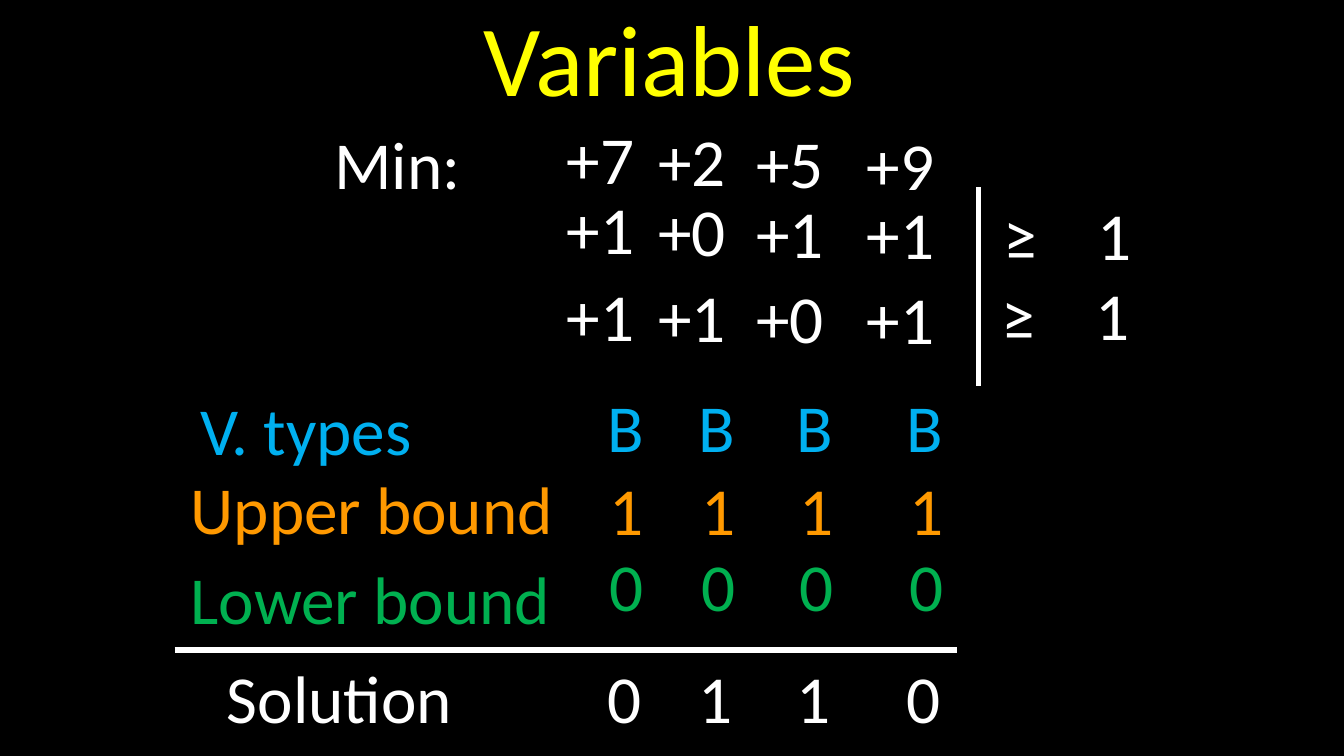
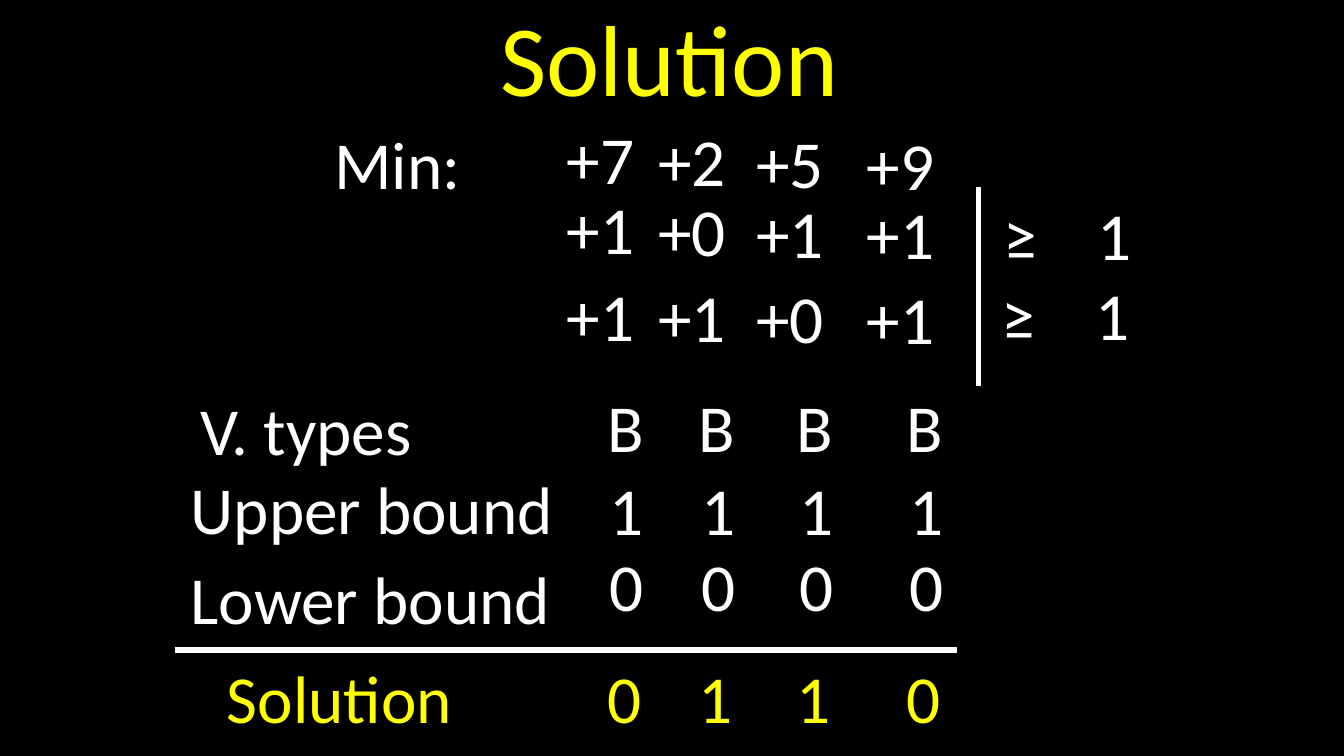
from collections import namedtuple
from lxml.etree import SubElement
from pptx import Presentation
from pptx.dml.color import RGBColor
from pptx.enum.shapes import MSO_CONNECTOR
from pptx.enum.text import MSO_AUTO_SIZE
from pptx.oxml.ns import qn
from pptx.util import Inches, Pt

BLACK = RGBColor(0x00, 0x00, 0x00)
WHITE = RGBColor(0xFF, 0xFF, 0xFF)
YELLOW = RGBColor(0xFF, 0xFF, 0x00)
BLUE = RGBColor(0x00, 0xB0, 0xF0)
ORANGE = RGBColor(0xFF, 0x99, 0x00)
GREEN = RGBColor(0x00, 0xB0, 0x50)

FONT = "Calibri"
SLIDE_WIDTH = Inches(10)
SLIDE_HEIGHT = SLIDE_WIDTH * 9 // 16
COLUMNS, ROWS = 10, 8
COLUMN, ROW = SLIDE_WIDTH / COLUMNS, SLIDE_HEIGHT / ROWS

Box = namedtuple("Box", "left top width height")
MODEL = Box(2.39, 1.17, 6.31, 2.91)
VARIABLES = Box(1.3, 4.01, 5.82, 3.88)

VARIABLE_OFFSETS = (0, 0.68, 1.41, 2.23)
RELATION_TAB = Inches(0.7)

COEFFICIENTS = (
    (0, 0.02, ("+7", "+2", "+5", "+9")),
    (0.74, 0.02, ("+1", "+0", "+1", "+1")),
    (1.66, 0.01, ("+1", "+1", "+0", "+1")),
)
RELATIONS = ((4.98, 0.81, 1.33), (4.96, 1.65, 1.22))

PROPERTIES = (
    ("V. types", Box(0.09, 0.03, 1.79, 1), "BBBB", 3.12, 0, 0.48),
    ("Upper bound", Box(0.02, 0.87, 2.92, 1), "1111", 3.14, 0.88, 0.46),
    ("Lower bound", Box(0.02, 1.82, 2.9, 1), "0000", 3.14, 1.68, 0.46),
    ("Solution", Box(0.29, 2.87, 1.9, 1), "0110", 3.12, 2.87, 0.46),
)

SLIDES = (
    ("Variables", 3, (BLUE, ORANGE, GREEN, WHITE)),
    ("Solution", 2.75, (WHITE, WHITE, WHITE, YELLOW)),
)


def inside(area, left, top, width=0, height=1):
    return Box(area.left + left, area.top + top, width, height)


def add_text(shapes, box, text, color=WHITE, size=36, wrap=False, tab=None):
    frame = shapes.add_textbox(
        round(box.left * COLUMN), round(box.top * ROW),
        round(box.width * COLUMN), round(box.height * ROW),
    ).text_frame
    frame.word_wrap = wrap
    frame.auto_size = MSO_AUTO_SIZE.SHAPE_TO_FIT_TEXT
    frame.text = text
    paragraph = frame.paragraphs[0]
    if tab:
        stops = SubElement(paragraph._p.get_or_add_pPr(), qn("a:tabLst"))
        SubElement(stops, qn("a:tab"), pos=str(tab), algn="l")
    font = paragraph.runs[0].font
    font.name, font.size = FONT, Pt(size)
    font.color.rgb = color


def add_rule(shapes, start, end):
    rule = shapes.add_connector(
        MSO_CONNECTOR.STRAIGHT,
        round(start.left * COLUMN), round(start.top * ROW),
        round(end.left * COLUMN), round(end.top * ROW),
    )
    rule.line.color.rgb = WHITE
    rule.line.width = Pt(3)
    SubElement(rule._element.spPr, qn("a:effectLst"))


def draw_model(shapes, area):
    add_text(shapes, inside(area, 0, 0.05, 1.26), "Min:")
    for top, stagger, values in COEFFICIENTS:
        for index, (offset, value) in enumerate(zip(VARIABLE_OFFSETS, values)):
            cell = inside(area, 1.73 + offset, top + index * stagger, 0.75)
            add_text(shapes, cell, value, wrap=True)
    divider = 4.89
    add_rule(shapes, inside(area, divider, area.height), inside(area, divider, 0.81))
    for left, top, width in RELATIONS:
        add_text(shapes, inside(area, left, top, width), "≥\t1",
                 wrap=True, tab=RELATION_TAB)


def draw_variables(shapes, area, colors):
    for (label, place, values, left, top, width), color in zip(PROPERTIES, colors):
        add_text(shapes, inside(area, *place), label, color)
        for offset, value in zip(VARIABLE_OFFSETS, values):
            add_text(shapes, inside(area, left + offset, top, width), value, color)
    solution_top = 2.87
    add_rule(shapes, inside(area, 0, solution_top), inside(area, area.width, solution_top))


def draw_title(shapes, title, width):
    box = Box((COLUMNS - width) / 2, -0.12, width, 1.44)
    add_text(shapes, box, title, YELLOW, 54)


def add_program_slide(deck, title, title_width, colors):
    slide = deck.slides.add_slide(deck.slide_layouts[6])
    slide.background.fill.solid()
    slide.background.fill.fore_color.rgb = BLACK
    program = slide.shapes.add_group_shape().shapes
    draw_model(program, MODEL)
    draw_variables(program, VARIABLES, colors)
    draw_title(slide.shapes, title, title_width)


def main():
    deck = Presentation()
    deck.slide_width, deck.slide_height = SLIDE_WIDTH, SLIDE_HEIGHT
    for title, title_width, colors in SLIDES:
        add_program_slide(deck, title, title_width, colors)
    deck.save("out.pptx")


if __name__ == "__main__":
    main()
